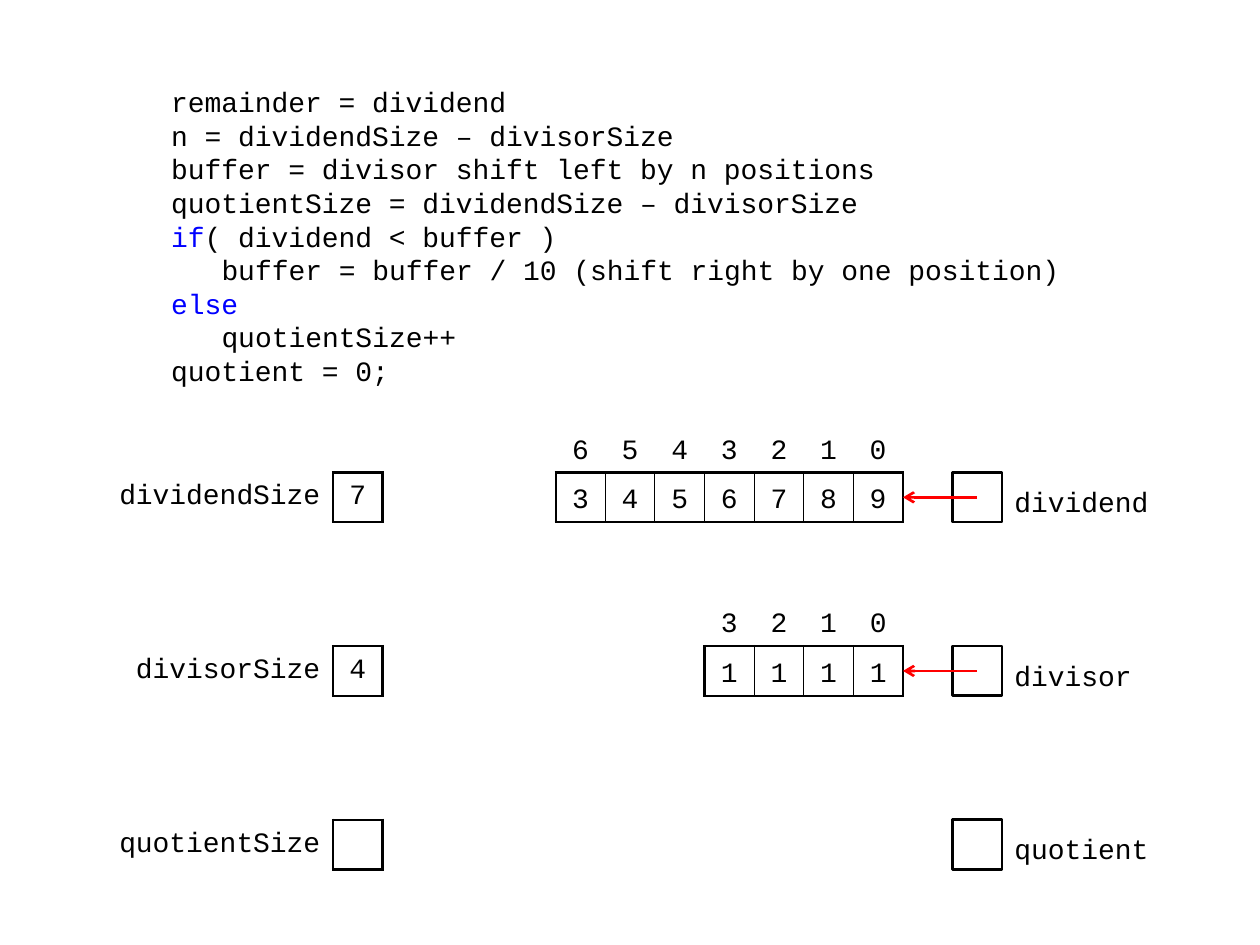
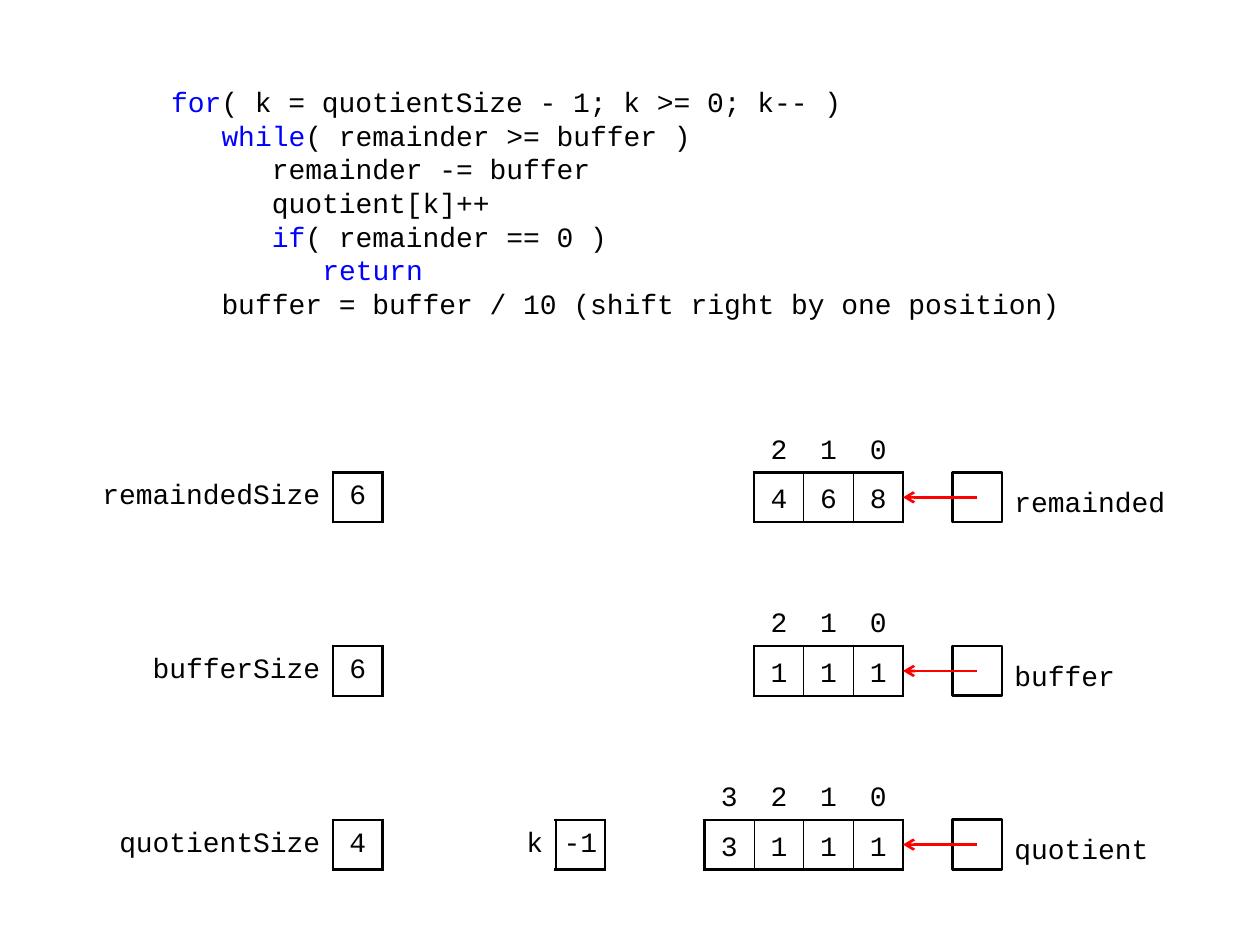
import pptx
import pptx.dml.color
import pptx.enum.shapes
import pptx.enum.text
import pptx.oxml
import pptx.oxml.ns
import pptx.util
from lxml import etree

Pt = pptx.util.Pt
RGB = pptx.dml.color.RGBColor
Align = pptx.enum.text.PP_ALIGN
Anchor = pptx.enum.text.MSO_ANCHOR
Shape = pptx.enum.shapes.MSO_SHAPE
Line = pptx.enum.shapes.MSO_CONNECTOR
qn = pptx.oxml.ns.qn

# Shared style
BLACK = RGB(0, 0, 0)
WHITE = RGB(255, 255, 255)
BLUE = RGB(0, 0, 255)
RED = RGB(255, 0, 0)
FONT = "Courier New"
SIZE = 16
THICK, THIN = 1.5, 0.75
PLAIN = "{2D5ABB26-0587-4C30-8999-92F81FD0307C}"  # table style without lines

# Shared grid
UNIT = 28.35        # side of one cell
INDENT = 28.8       # three characters of code
TOP = 270           # top of the first row of boxes
PITCH = 3.5 * UNIT  # from one row to the next
SIZE_X = 190.25     # left of the size boxes
COUNT_X = 317.5     # left of the loop counter's box
ARRAY_END = 516     # right edge of the arrays
BOX_X = 544.25      # left of the pointer boxes


class Deck:
    def __init__(self):
        self.prs = pptx.Presentation()
        self.prs.slide_width, self.prs.slide_height = Pt(720), Pt(540)
        self.slide = None

    def page(self):
        self.slide = self.prs.slides.add_slide(self.prs.slide_layouts[6])

    def style(self, para, align=Align.LEFT):
        para.alignment = align
        para.font.name, para.font.size = FONT, Pt(SIZE)
        para.font.color.rgb = BLACK

    def text(self, x, y, w, h, pads):
        box = self.slide.shapes.add_textbox(Pt(x), Pt(y), Pt(w), Pt(h))
        frame = box.text_frame
        frame.word_wrap = True
        frame.margin_left, frame.margin_top, frame.margin_right, frame.margin_bottom = map(Pt, pads)
        return frame

    def code(self, lines):
        """Each line is (indent level, keyword, rest)."""
        frame = self.text(90.7, 43.2, 538.6, 184.3, (7.2, 5.3, 7.2, 3.6))
        for i, (level, key, rest) in enumerate(lines):
            para = frame.add_paragraph() if i else frame.paragraphs[0]
            self.style(para)
            para.line_spacing = Pt(19.2)
            para._p.get_or_add_pPr().set("marL", str(Pt(level * INDENT)))
            if key:
                run = para.add_run()
                run.text = key
                run.font.color.rgb = BLUE
            if rest:
                para.add_run().text = rest

    def table(self, x, y, rows, widths):
        height = UNIT * rows
        frame = self.slide.shapes.add_table(
            rows, len(widths), Pt(x), Pt(y), Pt(sum(widths)), Pt(height))
        grid = frame.table
        grid.first_row = grid.horz_banding = False
        grid._tbl.tblPr.find(qn("a:tableStyleId")).text = PLAIN
        for col, width in zip(grid.columns, widths):
            col.width = Pt(width)
        for row in grid.rows:
            row.height = Pt(UNIT)
        return grid

    def cell(self, cell, text, align, side, edge, lines, space=None):
        """Lines maps a side (L, R, T, B) to a border width."""
        cell.margin_left = cell.margin_right = Pt(side)
        cell.margin_top = cell.margin_bottom = Pt(edge)
        cell.vertical_anchor = Anchor.MIDDLE
        para = cell.text_frame.paragraphs[0]
        if text:
            para.add_run().text = text
        self.style(para, align)
        if space:
            para.line_spacing = space
        props = cell._tc.get_or_add_tcPr()
        for name in "LRTB":
            if name in lines:
                line = etree.SubElement(props, qn("a:ln" + name), w=str(Pt(lines[name])))
                fill = etree.SubElement(line, qn("a:solidFill"))
                etree.SubElement(fill, qn("a:srgbClr"), val=str(BLACK))
        cell.fill.background()

    def field(self, x, y, label, value, side=7.2):
        """A label on the left of one boxed value."""
        width = UNIT * max(1, min(5, len(label) / 2 - 1))
        grid = self.table(x - width, y, 1, [width, UNIT])
        self.cell(grid.cell(0, 0), label, Align.RIGHT, 7.2, 2.88, {"R": THICK})
        self.cell(grid.cell(0, 1), value, Align.CENTER, side, 2.88,
                  dict.fromkeys("LRTB", THICK))

    def array(self, y, digits):
        """Boxed digits under their places, the last at the array's end."""
        count = len(digits)
        grid = self.table(ARRAY_END - count * UNIT, y - UNIT, 2, [UNIT] * count)
        for i, digit in enumerate(digits):
            last = count - 1 - i
            self.cell(grid.cell(0, i), str(last), Align.CENTER, 7.2, 1.44,
                      {"B": THICK}, 1.25)
            lines = {"L": THIN if i else THICK, "R": THIN if last else THICK,
                     "T": THICK, "B": THICK}
            self.cell(grid.cell(1, i), digit, Align.CENTER, 2.88, 1.44, lines, 1.25)

    def box(self, y, label):
        """The pointer box and its name on the right."""
        frame = self.text(BOX_X + UNIT, y, UNIT * (len(label) - 1) / 2, UNIT,
                          (7.2, 4.6, 5.76, 0))
        frame.vertical_anchor = Anchor.MIDDLE
        para = frame.paragraphs[0]
        para.add_run().text = label
        self.style(para)
        shape = self.slide.shapes.add_shape(
            Shape.RECTANGLE, Pt(BOX_X), Pt(y), Pt(UNIT), Pt(UNIT))
        shape.shadow.inherit = False
        shape.fill.solid()
        shape.fill.fore_color.rgb = WHITE
        shape.line.color.rgb, shape.line.width = BLACK, Pt(THICK)

    def arrow(self, y):
        mid = Pt(y + UNIT / 2)
        line = self.slide.shapes.add_connector(
            Line.STRAIGHT, Pt(BOX_X + UNIT / 2), mid, Pt(ARRAY_END), mid)
        line.line.color.rgb, line.line.width = RED, Pt(THICK)
        etree.SubElement(line.line._get_or_add_ln(), qn("a:tailEnd"), type="arrow")
        etree.SubElement(line._element.spPr, qn("a:effectLst"))

    def rows(self, items):
        """Each item is (name, size, digits)."""
        for i, (name, size, digits) in enumerate(items):
            y = TOP + i * PITCH
            self.field(SIZE_X, y, name + "Size", size)
            if digits:
                self.array(y, digits)
            self.box(y, name)
            if digits:
                self.arrow(y)


deck = Deck()

# Slide 1: setting up the division
deck.page()
deck.code([
    (0, "", "remainder = dividend"),
    (0, "", "n = dividendSize – divisorSize"),
    (0, "", "buffer = divisor shift left by n positions"),
    (0, "", "quotientSize = dividendSize – divisorSize"),
    (0, "if", "( dividend < buffer )"),
    (1, "", "buffer = buffer / 10 (shift right by one position)"),
    (0, "else", ""),
    (1, "", "quotientSize++"),
    (0, "", "quotient = 0;"),
])
deck.rows([
    ("dividend", "7", "3456789"),
    ("divisor", "4", "1111"),
    ("quotient", "", ""),
])

# Slide 2: the loop and its result
deck.page()
deck.code([
    (0, "for", "( k = quotientSize - 1; k >= 0; k-- )"),
    (1, "while", "( remainder >= buffer )"),
    (2, "", "remainder -= buffer"),
    (2, "", "quotient[k]++"),
    (2, "if", "( remainder == 0 )"),
    (3, "return", ""),
    (1, "", "buffer = buffer / 10 (shift right by one position)"),
])
deck.rows([
    ("remainded", "6", "468"),
    ("buffer", "6", "111"),
    ("quotient", "4", "3111"),
])
deck.field(COUNT_X, TOP + 2 * PITCH, "k", "-1", side=2.88)

deck.prs.save("out.pptx")
